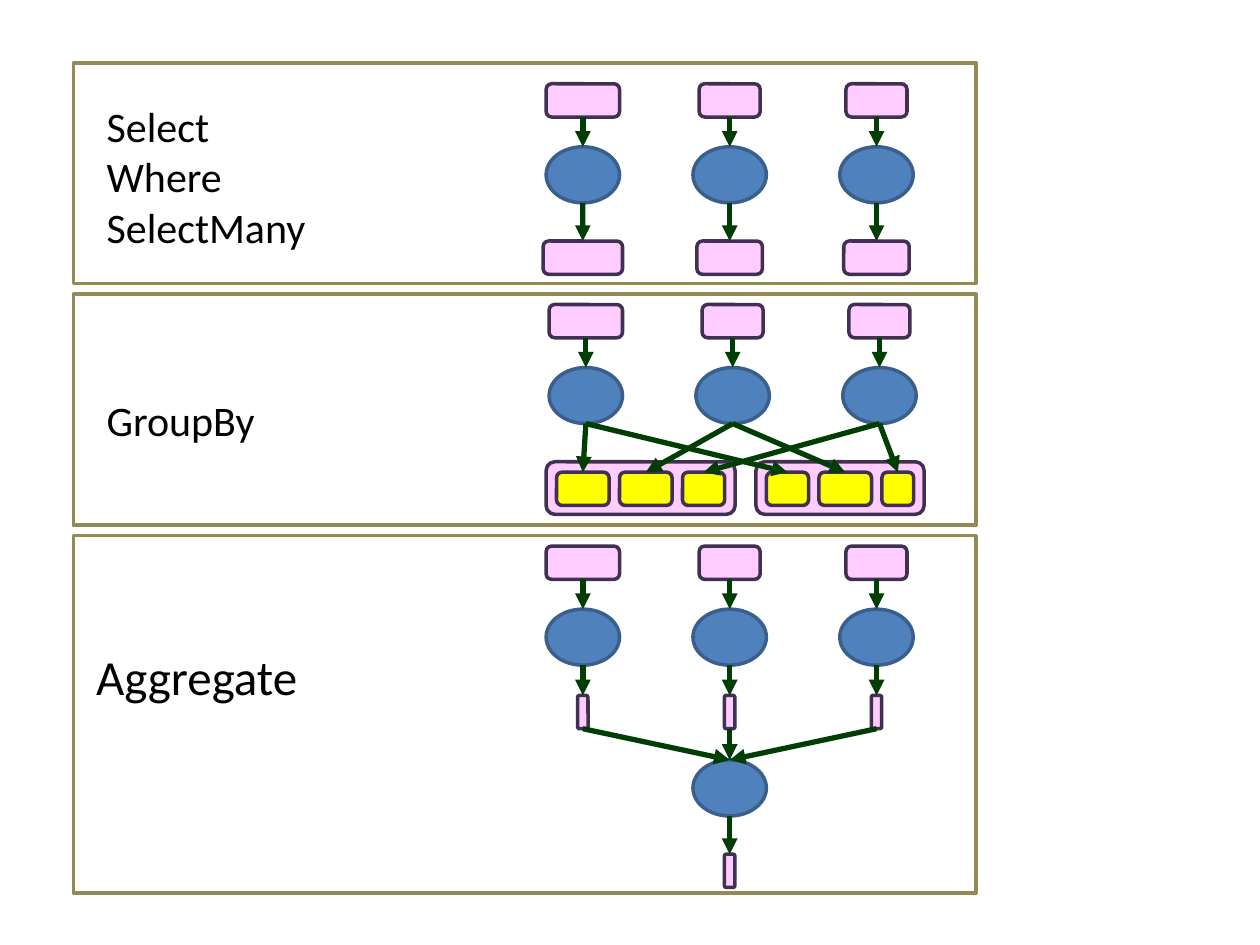
from lxml.etree import SubElement
from pptx import Presentation
from pptx.dml.color import RGBColor
from pptx.enum.shapes import MSO_CONNECTOR, MSO_SHAPE
from pptx.enum.text import MSO_AUTO_SIZE
from pptx.oxml.ns import qn
from pptx.util import Cm, Pt

COLORS = {
    "data": "FFCCFF", "data_line": "403152", "bucket": "FFFF00",
    "vertex": "4F81BD", "vertex_line": "3A5F8C",
    "arrow": "003E03", "frame": "948A54", "text": "000000",
}
BOX_HEIGHT = 0.67
VERTEX_WIDTH, VERTEX_HEIGHT = 1.48, 1.13
SMALL_WIDTH = 0.21
GAP = 0.21
CENTERS = [11.75 + 2.96 * column for column in range(3)]
INPUT_WIDTHS = [1.48, 1.23, 1.23]
OUTPUT_WIDTHS = [1.6, 1.32, 1.32]

deck = Presentation()
deck.slide_width, deck.slide_height = Cm(25.4), Cm(19.05)
page = deck.slides.add_slide(deck.slide_layouts[6])


def add_node(kind, center, top, width, height, fill, line):
    node = page.shapes.add_shape(kind, Cm(center - width / 2), Cm(top), Cm(width), Cm(height))
    node.shadow.inherit = False
    if fill:
        node.fill.solid()
        node.fill.fore_color.rgb = RGBColor.from_string(COLORS[fill])
    else:
        node.fill.background()
    node.line.color.rgb = RGBColor.from_string(COLORS[line])
    node.line.width = Pt(2)
    return node


def add_arrow(source, target):
    arrow = page.shapes.add_connector(
        MSO_CONNECTOR.STRAIGHT,
        source.left + source.width // 2, source.top + source.height,
        target.left + target.width // 2, target.top)
    if source.auto_shape_type != MSO_SHAPE.OVAL:
        arrow.begin_connect(source, 2)
    arrow.end_connect(target, 0)
    arrow.line.color.rgb = RGBColor.from_string(COLORS["arrow"])
    arrow.line.width = Pt(3)
    SubElement(arrow.line._get_or_add_ln(), qn("a:tailEnd"), type="triangle")
    SubElement(arrow._element.spPr, qn("a:effectLst"))


stages = []
for input_top, shift in [(1.69, 0), (6.14, 0.06), (11.01, 0)]:
    vertices = []
    for center, width in zip(CENTERS, INPUT_WIDTHS):
        source = add_node(MSO_SHAPE.ROUNDED_RECTANGLE, center + shift, input_top,
                          width, BOX_HEIGHT, "data", "data_line")
        vertex = add_node(MSO_SHAPE.OVAL, center + shift, input_top + 1.27,
                          VERTEX_WIDTH, VERTEX_HEIGHT, "vertex", "vertex_line")
        add_arrow(source, vertex)
        vertices.append(vertex)
    stages.append(vertices)
select_vertices, group_vertices, aggregate_vertices = stages

for vertex, center, width in zip(select_vertices, CENTERS, OUTPUT_WIDTHS):
    output = add_node(MSO_SHAPE.ROUNDED_RECTANGLE, center, 4.86, width, BOX_HEIGHT,
                      "data", "data_line")
    add_arrow(vertex, output)

partitions = []
for left, bucket_widths in [(11.01, [1.06, 1.06, 0.85]), (15.24, [0.85, 1.06, 0.64])]:
    total = sum(bucket_widths) + 4 * GAP
    add_node(MSO_SHAPE.ROUNDED_RECTANGLE, left + total / 2, 9.31, total, 1.06,
             "data", "data_line")
    buckets = []
    bucket_left = left + GAP
    for width in bucket_widths:
        buckets.append(add_node(MSO_SHAPE.ROUNDED_RECTANGLE, bucket_left + width / 2, 9.52,
                                width, BOX_HEIGHT, "bucket", "data_line"))
        bucket_left += width + GAP
    partitions.append(buckets)
for buckets in partitions:
    for vertex, bucket in zip(group_vertices, buckets):
        add_arrow(vertex, bucket)

combiner = add_node(MSO_SHAPE.OVAL, CENTERS[1], 15.32, VERTEX_WIDTH, VERTEX_HEIGHT,
                    "vertex", "vertex_line")
for vertex, center in zip(aggregate_vertices, CENTERS):
    partial = add_node(MSO_SHAPE.ROUNDED_RECTANGLE, center, 14.02, SMALL_WIDTH, BOX_HEIGHT,
                       "data", "data_line")
    add_arrow(vertex, partial)
    add_arrow(partial, combiner)
result = add_node(MSO_SHAPE.ROUNDED_RECTANGLE, CENTERS[1], 17.22, SMALL_WIDTH, BOX_HEIGHT,
                  "data", "data_line")
add_arrow(combiner, result)

for top, height in [(1.27, 4.45), (5.93, 4.66), (10.8, 7.2)]:
    add_node(MSO_SHAPE.RECTANGLE, 10.58, top, 18.2, height, None, "frame")

labels = [
    (["Select", "Where", "SelectMany"], 1.9, 1.9, 4.57, 3.33, 24),
    (["GroupBy"], 1.9, 7.83, 3.53, 1.28, 24),
    (["Aggregate"], 1.69, 12.91, 4.6, 1.45, 28),
]
for lines, left, top, width, height, size in labels:
    box = page.shapes.add_textbox(Cm(left), Cm(top), Cm(width), Cm(height))
    box.text_frame.word_wrap = False
    box.text_frame.auto_size = MSO_AUTO_SIZE.SHAPE_TO_FIT_TEXT
    para = box.text_frame.paragraphs[0]
    for index, line in enumerate(lines):
        if index:
            para.add_line_break()
        span = para.add_run()
        span.text = line
        span.font.name = "Calibri"
        span.font.size = Pt(size)
        span.font.color.rgb = RGBColor.from_string(COLORS["text"])

deck.save("out.pptx")
